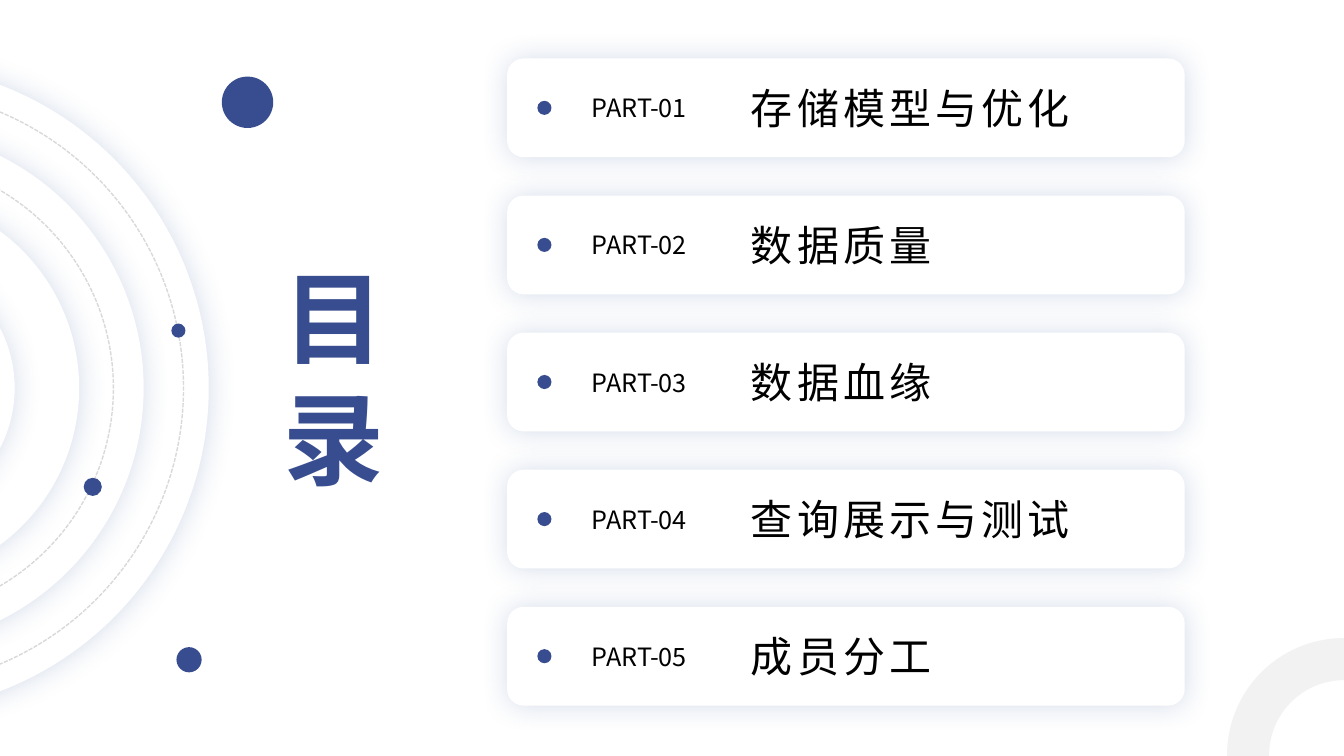
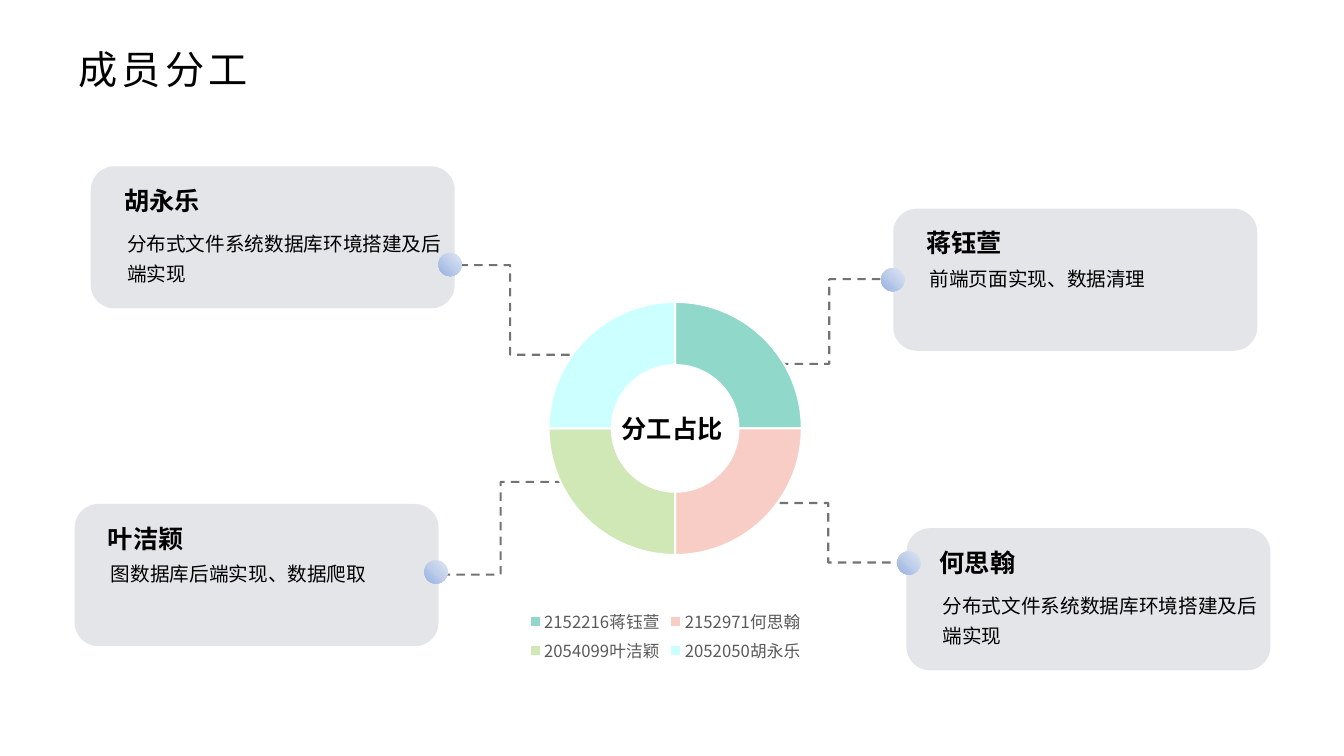
import pptx
import pptx.util
import pptx.dml.color
import pptx.chart.data
import pptx.enum.chart
import pptx.enum.dml
import pptx.enum.shapes
import pptx.enum.text
import pptx.oxml
import pptx.oxml.ns
from lxml import etree

Inches, Pt = pptx.util.Inches, pptx.util.Pt
SHAPE = pptx.enum.shapes.MSO_SHAPE
DASH = pptx.enum.dml.MSO_LINE
qn = pptx.oxml.ns.qn

FONT = "Noto Sans CJK SC"
NAVY, WHITE, BLACK = "384D8F", "FFFFFF", "000000"
SLATE, GLOW, PALE, RING = "44546A", "2F5597", "F2F2F2", "D9D9D9"
LEGEND_GREY = "595959"

CONTENTS = ["存储模型与优化", "数据质量", "数据血缘", "查询展示与测试", "成员分工"]
CENTER = (-1.15, 3.85)
DISC_SIZES = [6.44, 5.15, 3.87, 2.59]
ORBIT_SIZES = [4.55, 5.94]
DOTS = [(0.83, 4.74, 0.18), (1.7, 3.21, 0.14), (2.2, 0.76, 0.51), (1.75, 6.42, 0.25)]

MEMBERS = [
    ("胡永乐", "分布式文件系统数据库环境搭建及后端实现", (0.9, 1.65), 1.3),
    ("叶洁颖", "图数据库后端实现、数据爬取", (0.74, 5), None),
    ("蒋钰萱", "前端页面实现、数据清理", (8.86, 2.07), None),
    ("何思翰", "分布式文件系统数据库环境搭建及后端实现", (8.99, 5.24), 1.3),
]
LINKS = [
    ((5.59, 4.78), (4.34, 5.7)),
    ((7.44, 4.99), (8.99, 5.58)),
    ((5.65, 3.52), (4.47, 2.63)),
    ((7.59, 3.61), (8.86, 2.77)),
]
KNOBS = [(4.35, 2.51), (8.74, 2.66), (4.21, 5.56), (8.9, 5.47)]
KNOB_STOPS = [(0, "94B1E1"), (50, "BFCEEA"), (100, "E0E7F4")]
SHARES = [
    ("2152216蒋钰萱", 25, "90D8C9"),
    ("2152971何思翰", 25, "F7CDC5"),
    ("2054099叶洁颖", 25, "CFE8B6"),
    ("2052050胡永乐", 25, "CCFFFF"),
]


def rgb(value):
    return pptx.dml.color.RGBColor.from_string(value)


def element(xml):
    ns = "http://schemas.openxmlformats.org/drawingml/2006/main"
    nsc = "http://schemas.openxmlformats.org/drawingml/2006/chart"
    head, gap, tail = xml.partition(">")
    close = "/" if head.endswith("/") else ""
    head = head.rstrip("/")
    return pptx.oxml.parse_xml(f'{head} xmlns:a="{ns}" xmlns:c="{nsc}"{close}>{tail}')


def set_alpha(fill_owner, percent):
    color = next(fill_owner.iter(qn("a:srgbClr")))
    etree.SubElement(color, qn("a:alpha")).set("val", str(percent * 1000))


def add_east_asian(props):
    props.find(qn("a:latin")).addnext(element(f'<a:ea typeface="{FONT}"/>'))


def add_shape(s, kind, x, y, w, h, fill=None, line=None):
    sp = s.shapes.add_shape(kind, Inches(x), Inches(y), Inches(w), Inches(h))
    sp.shadow.inherit = False
    if fill:
        sp.fill.solid()
        sp.fill.fore_color.rgb = rgb(fill)
    else:
        sp.fill.background()
    if line:
        sp.line.color.rgb = rgb(line)
        sp.line.width = Pt(1)
        sp.line.dash_style = DASH.SQUARE_DOT
    else:
        sp.line.fill.background()
    return sp


def add_circle(s, center, size, **look):
    x, y = (c - size / 2 for c in center)
    return add_shape(s, SHAPE.OVAL, x, y, size, size, **look)


def add_glow(sp):
    effects = sp._element.spPr.find(qn("a:effectLst"))
    effects.append(element(
        f'<a:outerShdw blurRad="{Pt(20)}" dist="0" dir="0" algn="ctr" rotWithShape="0">'
        f'<a:srgbClr val="{GLOW}"><a:alpha val="20000"/></a:srgbClr></a:outerShdw>'))


def add_text(s, lines, x, y, w, h, size, color=BLACK, bold=False, tracking=0,
             wrap=True, left=0.1, spacing=None, align=None):
    tb = s.shapes.add_textbox(Inches(x), Inches(y), Inches(w), Inches(h))
    tf = tb.text_frame
    tf.word_wrap = wrap
    tf.auto_size = pptx.enum.text.MSO_AUTO_SIZE.SHAPE_TO_FIT_TEXT
    tf.margin_left = Inches(left)
    for i, line in enumerate(lines):
        p = tf.add_paragraph() if i else tf.paragraphs[0]
        p.alignment = align
        p.line_spacing = spacing
        r = p.add_run()
        r.text = line
        r.font.size = Pt(size)
        r.font.name = FONT
        r.font.bold = bold
        r.font.color.rgb = rgb(color)
        props = r._r.get_or_add_rPr()
        add_east_asian(props)
        if tracking:
            props.set("spc", str(tracking * 100))


def add_link(s, start, end):
    ends = [Inches(v) for v in start + end]
    cn = s.shapes.add_connector(pptx.enum.shapes.MSO_CONNECTOR.ELBOW, *ends)
    cn.line.color.rgb = rgb(BLACK)
    cn.line.width = Pt(1.5)
    cn.line.dash_style = DASH.DASH
    set_alpha(cn._element.spPr, 55)
    cn._element.spPr.append(element("<a:effectLst/>"))


def add_knob(s, x, y):
    sp = add_shape(s, SHAPE.FLOWCHART_CONNECTOR, x, y, 0.23, 0.23)
    stops = "".join(f'<a:gs pos="{pos * 1000}"><a:srgbClr val="{color}"/></a:gs>'
                    for pos, color in KNOB_STOPS)
    spPr = sp._element.spPr
    spPr.replace(spPr.find(qn("a:noFill")), element(
        f'<a:gradFill rotWithShape="1"><a:gsLst>{stops}</a:gsLst><a:path path="circle">'
        '<a:fillToRect t="100000" r="100000"/></a:path></a:gradFill>'))


def add_member(s, name, task, corner, spacing):
    x, y = corner
    card = add_shape(s, SHAPE.ROUNDED_RECTANGLE, x, y, 3.61, 1.41, SLATE)
    set_alpha(card._element.spPr, 15)
    add_text(s, [name], x, y + 0.14, 3.61, 0.4, 18, bold=True, left=0.33)
    height = 0.69 if spacing else 0.34
    add_text(s, [task], x, y + 0.53, 3.61, height, 14, left=0.36, spacing=spacing)


def style_chart_font(font, size, color):
    font.size = Pt(size)
    font.name = FONT
    font.color.rgb = rgb(color)
    add_east_asian(font._element)


def add_share_chart(s):
    data = pptx.chart.data.CategoryChartData()
    data.categories = [name for name, value, color in SHARES]
    data.add_series("Series 1", [value for name, value, color in SHARES])
    chart = s.shapes.add_chart(pptx.enum.chart.XL_CHART_TYPE.DOUGHNUT, Inches(4.16),
                               Inches(2.5), Inches(4.88), Inches(4.12), data).chart
    chart.has_title = False
    style_chart_font(chart.font, 10, BLACK)
    chart.has_legend = True
    chart.legend.position = pptx.enum.chart.XL_LEGEND_POSITION.BOTTOM
    chart.legend.include_in_layout = False
    style_chart_font(chart.legend.font, 11.9, LEGEND_GREY)
    plot = chart.plots[0]
    plot.vary_by_categories = True
    for i, (name, value, color) in enumerate(SHARES):
        fmt = plot.series[0].points[i].format
        fmt.fill.solid()
        fmt.fill.fore_color.rgb = rgb(color)
        fmt.line.color.rgb = rgb(WHITE)
        fmt.line.width = Pt(1.5)
    space = chart._chartSpace
    next(space.iter(qn("c:holeSize"))).set("val", "65")
    space.chart.addnext(element("<c:spPr><a:noFill/><a:ln><a:noFill/></a:ln></c:spPr>"))
    area = space.chart.plotArea
    for old in area.findall(qn("c:layout")):
        area.remove(old)
    box = "".join(f'<c:{tag} val="{value}"/>' for tag, value in [
        ("layoutTarget", "inner"), ("xMode", "edge"), ("yMode", "edge"),
        ("x", 0.26), ("y", 0.12), ("w", 0.52), ("h", 0.61)])
    area.insert(0, element(f"<c:layout><c:manualLayout>{box}</c:manualLayout></c:layout>"))


def new_slide(prs):
    s = prs.slides.add_slide(prs.slide_layouts[6])
    s.background.fill.solid()
    s.background.fill.fore_color.rgb = rgb(WHITE)
    return s


def build_contents(prs):
    s = new_slide(prs)
    for size in DISC_SIZES:
        add_glow(add_circle(s, CENTER, size, fill=WHITE))
    for size in ORBIT_SIZES:
        add_circle(s, CENTER, size, line=RING)
    for x, y, size in DOTS:
        add_shape(s, SHAPE.OVAL, x, y, size, size, NAVY)
    add_text(s, ["目", "录"], 2.71, 2.49, 1.21, 2.52, 72, NAVY, bold=True, wrap=False)
    donut = add_shape(s, SHAPE.DONUT, 12.17, 6.33, 2.32, 2.32, PALE)
    donut.adjustments[0] = 0.18
    for i, topic in enumerate(CONTENTS):
        y = 0.58 + 1.36 * i
        add_glow(add_shape(s, SHAPE.ROUNDED_RECTANGLE, 5.03, y, 6.72, 0.98, WHITE))
        add_shape(s, SHAPE.OVAL, 5.33, y + 0.42, 0.14, 0.14, NAVY)
        add_text(s, [f"PART-{i + 1:02d}"], 5.77, y + 0.29, 1.46, 0.4, 18)
        add_text(s, [topic], 7.35, y + 0.19, 4.27, 0.61, 30, tracking=3)


def build_members(prs):
    s = new_slide(prs)
    add_text(s, ["成员分工"], 0.68, 0.4, 2.25, 0.57, 28, tracking=3)
    for member in MEMBERS:
        add_member(s, *member)
    add_text(s, ["分工占比"], 5.89, 4.05, 1.55, 0.4, 18, bold=True,
             align=pptx.enum.text.PP_ALIGN.CENTER)
    for start, end in LINKS:
        add_link(s, start, end)
    for x, y in KNOBS:
        add_knob(s, x, y)
    add_share_chart(s)


def main():
    prs = pptx.Presentation()
    prs.slide_width, prs.slide_height = Inches(13.33), Inches(7.5)
    build_contents(prs)
    build_members(prs)
    prs.save("out.pptx")


if __name__ == "__main__":
    main()
